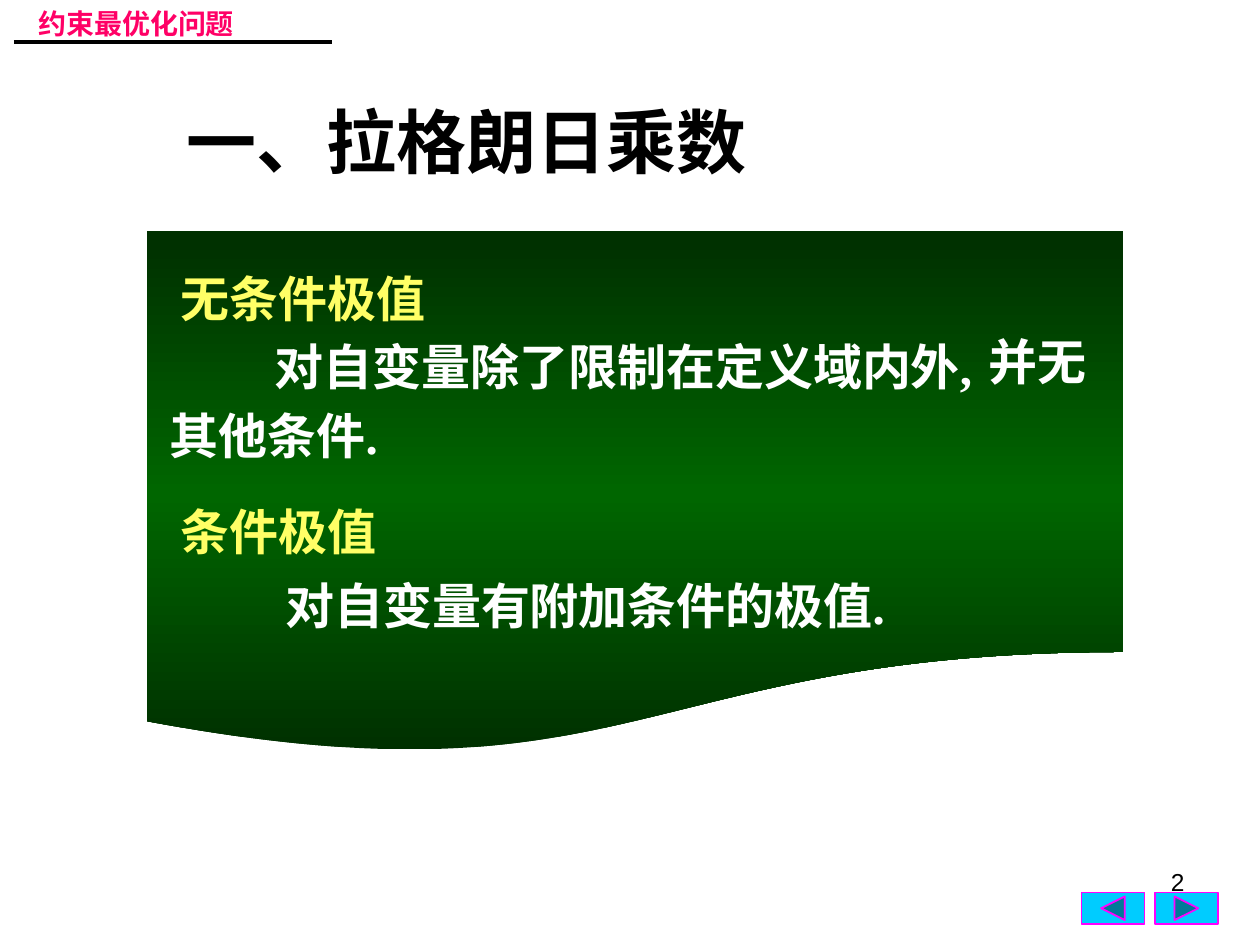
from copy import deepcopy

from lxml.etree import SubElement
from pptx import Presentation
from pptx.dml.color import RGBColor
from pptx.enum.shapes import MSO_CONNECTOR, MSO_SHAPE
from pptx.enum.text import MSO_ANCHOR, MSO_AUTO_SIZE, PP_ALIGN
from pptx.oxml.ns import qn
from pptx.util import Pt

COLORS = {
    "black": "000000",
    "white": "FFFFFF",
    "heading": "FFFF66",
    "topic": "FF0066",
    "panel edge": "002F00",
    "panel middle": "006600",
    "button": "00CCFF",
    "button line": "FF00FF",
}
CJK_FONT = "Noto Sans CJK SC"


def color(name):
    return RGBColor.from_string(COLORS[name])


def write_text(box, text, color_name, align=PP_ALIGN.LEFT, **font_format):
    """Fill a box with one formatted line, anchored at the top."""
    frame = box.text_frame
    frame.word_wrap = True
    frame.auto_size = MSO_AUTO_SIZE.NONE
    frame.vertical_anchor = MSO_ANCHOR.TOP
    para = frame.paragraphs[0]
    para.alignment = align
    span = para.add_run()
    span.text = text
    for name, value in font_format.items():
        setattr(span.font, name, value)
    span.font.color.rgb = color(color_name)
    SubElement(span.font._element, qn("a:ea")).set("typeface", CJK_FONT)


deck = Presentation()
deck.slide_width, deck.slide_height = Pt(720), Pt(540)
page = deck.slides.add_slide(deck.slide_layouts[5])
shapes = page.shapes

# Navigation buttons
buttons = [
    (MSO_SHAPE.ACTION_BUTTON_FORWARD_OR_NEXT, 660),
    (MSO_SHAPE.ACTION_BUTTON_BACK_OR_PREVIOUS, 618),
]
for kind, left in buttons:
    button = shapes.add_shape(kind, Pt(left), Pt(510), Pt(36), Pt(18))
    button.shadow.inherit = False
    button.fill.solid()
    button.fill.fore_color.rgb = color("button")
    button.line.color.rgb = color("button line")
    button.line.width = Pt(1)

# Green panel, dark at the top and bottom edges
panel = shapes.add_shape(MSO_SHAPE.FLOWCHART_DOCUMENT, Pt(84), Pt(132), Pt(558), Pt(300))
panel.shadow.inherit = False
panel.line.fill.background()
panel.fill.gradient()
panel.fill.gradient_angle = 270
first_stop = panel.fill.gradient_stops[0]._gs
first_stop.addnext(deepcopy(first_stop))
stops = [(0, "panel edge"), (0.5, "panel middle"), (1, "panel edge")]
for stop, (position, name) in zip(panel.fill.gradient_stops, stops):
    stop.position = position
    stop.color.rgb = color(name)

# Definitions on the panel
definitions = [
    ("对自变量有附加条件的极值.", 156, 325.5, 378, "white"),
    ("其他条件.", 90, 228, 156, "white"),
    ("无条件极值", 96, 150, 186, "heading"),
    ("对自变量除了限制在定义域内外,", 150, 189, 456, "white"),
    ("并无", 558, 186, 83, "white"),
    ("条件极值", 96, 283, 186, "heading"),
]
for text, left, top, width, color_name in definitions:
    box = shapes.add_textbox(Pt(left), Pt(top), Pt(width), Pt(41))
    write_text(box, text, color_name, size=Pt(28), bold=True, name="Times New Roman")

title = shapes.title
title.left, title.top, title.width, title.height = Pt(54), Pt(52.5), Pt(425), Pt(55.5)
write_text(title, "一、拉格朗日乘数", "black", PP_ALIGN.CENTER,
           size=Pt(40), bold=True, name="Times New Roman")

# Running header with its rule
topic = shapes.add_textbox(Pt(15), Pt(0), Pt(165.5), Pt(26.5))
write_text(topic, "约束最优化问题", "topic", size=Pt(16), bold=True, name=CJK_FONT)
rule = shapes.add_connector(MSO_CONNECTOR.STRAIGHT, Pt(8), Pt(24), Pt(189.5), Pt(24))
rule.line.color.rgb = color("black")
rule.line.width = Pt(2.25)
SubElement(rule._element.spPr, qn("a:effectLst"))

page_number = shapes.add_textbox(Pt(516), Pt(492), Pt(168), Pt(37.5))
write_text(page_number, "2", "black", PP_ALIGN.RIGHT, size=Pt(14), name="Arial")

deck.save("out.pptx")
